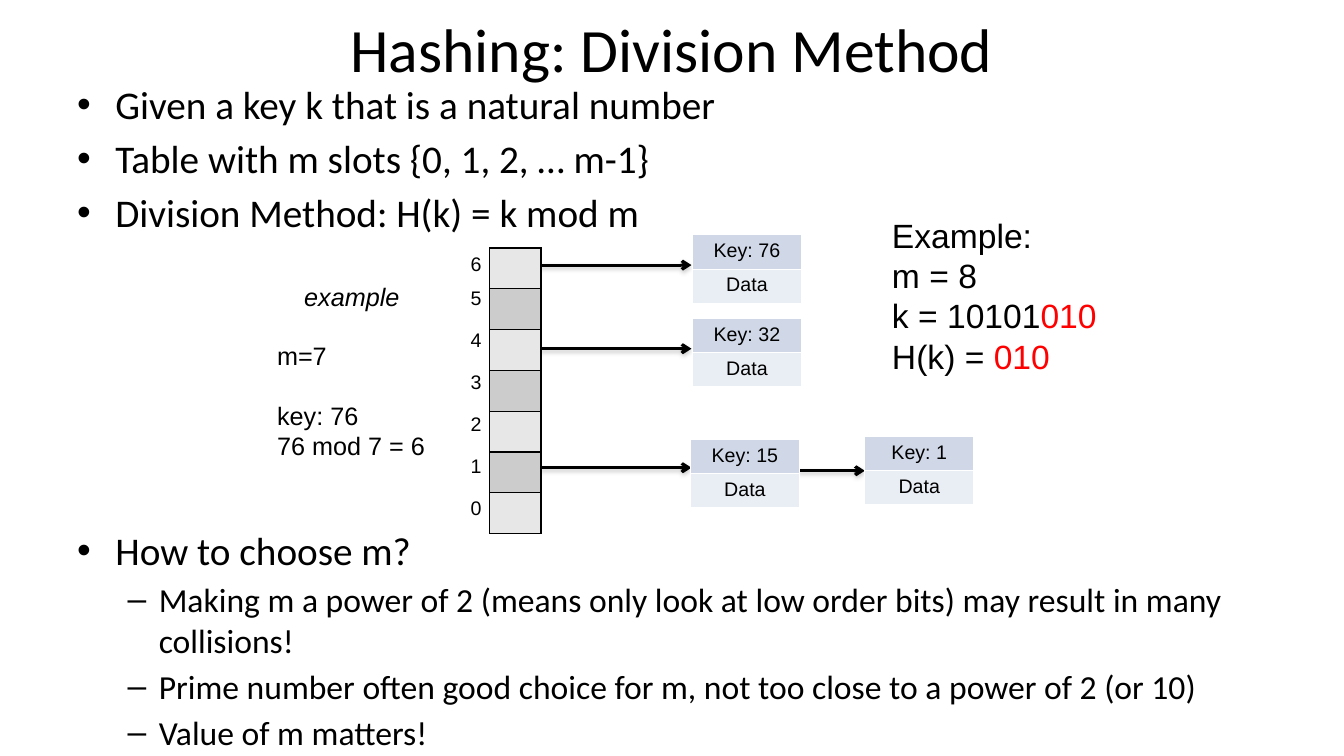
import lxml.etree
import pptx
import pptx.dml.color
import pptx.enum.shapes
import pptx.enum.text
import pptx.oxml
import pptx.oxml.ns
import pptx.util

RGBColor = pptx.dml.color.RGBColor
BLACK = RGBColor(0x00, 0x00, 0x00)
WHITE = RGBColor(0xFF, 0xFF, 0xFF)
RED = RGBColor(0xFF, 0x00, 0x00)
KEY_BLUE = RGBColor(0xD0, 0xD8, 0xE8)
DATA_BLUE = RGBColor(0xE9, 0xED, 0xF4)
LIGHT_GREY = RGBColor(0xE7, 0xE7, 0xE7)
DARK_GREY = RGBColor(0xCC, 0xCC, 0xCC)
SHADOW_GREY = RGBColor(0x80, 0x80, 0x80)

LEFT = pptx.enum.text.PP_ALIGN.LEFT
CENTER = pptx.enum.text.PP_ALIGN.CENTER
MIDDLE = pptx.enum.text.MSO_ANCHOR.MIDDLE
NAMESPACE = pptx.oxml.ns.nsdecls("a")
BULLETS = {28: ("•", 0.38, 0.38), 24: ("–", 0.81, 0.31)}

presentation = pptx.Presentation()
presentation.slide_width = pptx.util.Inches(13.33)
presentation.slide_height = pptx.util.Inches(7.5)
COLUMN = presentation.slide_width / 100
ROW = presentation.slide_height / 100
slide = presentation.slides.add_slide(presentation.slide_layouts[6])


def add_text(column, row, columns, rows, paragraphs, font="Arial", wrap=False):
    shape = slide.shapes.add_textbox(
        int(column * COLUMN), int(row * ROW), int(columns * COLUMN), int(rows * ROW))
    frame = shape.text_frame
    frame.word_wrap = wrap
    for index, (runs, size, alignment, space) in enumerate(paragraphs):
        paragraph = frame.paragraphs[0] if index == 0 else frame.add_paragraph()
        paragraph.alignment = alignment
        paragraph.space_before = pptx.util.Pt(space)
        for text, color in runs:
            run = paragraph.add_run()
            run.text = text
            run.font.name = font
            run.font.size = pptx.util.Pt(size)
            run.font.color.rgb = color
    return frame


def add_stack(column, row, columns, row_height, cells, border):
    shape = slide.shapes.add_table(
        len(cells), 1, int(column * COLUMN), int(row * ROW),
        int(columns * COLUMN), int(len(cells) * row_height * ROW))
    table = shape.table
    table.first_row = False
    table.horz_banding = False
    for index, (text, fill) in enumerate(cells):
        table.rows[index].height = int(row_height * ROW)
        cell = table.cell(index, 0)
        cell.fill.solid()
        cell.fill.fore_color.rgb = fill
        properties = cell._tc.get_or_add_tcPr()
        for position, side in enumerate(("lnL", "lnR", "lnT", "lnB")):
            properties.insert(position, pptx.oxml.parse_xml(
                f'<a:{side} {NAMESPACE} w="12700"><a:solidFill>'
                f'<a:srgbClr val="{border}"/></a:solidFill></a:{side}>'))
        if text:
            paragraph = cell.text_frame.paragraphs[0]
            paragraph.alignment = CENTER
            run = paragraph.add_run()
            run.text = text
            run.font.name = "Arial"
            run.font.size = pptx.util.Pt(14)
            run.font.color.rgb = BLACK


title = add_text(16.25, 0, 67.5, 12.8,
                 [([("Hashing: Division Method", BLACK)], 44, CENTER, 0)], "Calibri", True)
title.vertical_anchor = MIDDLE

bullet_blocks = [
    (10, 90, 23.33, [
        ("Given a key k that is a natural number", 28),
        ("Table with m slots {0, 1, 2, … m-1}", 28),
        ("Division Method: H(k) = k mod m", 28)]),
    (68.93, 95, 31.07, [
        ("How to choose m?", 28),
        ("Making m a power of 2 (means only look at low order bits) may result in many collisions!", 24),
        ("Prime number often good choice for m, not too close to a power of 2 (or 10)", 24),
        ("Value of m matters!", 24)]),
]
for row, columns, rows, items in bullet_blocks:
    frame = add_text(5, row, columns, rows,
                     [([(text, BLACK)], size, LEFT, size * 0.18) for text, size in items],
                     "Calibri", True)
    for paragraph, (text, size) in zip(frame.paragraphs, items):
        character, margin, hanging = BULLETS[size]
        properties = paragraph._p.get_or_add_pPr()
        properties.set("marL", str(pptx.util.Inches(margin)))
        properties.set("indent", str(-pptx.util.Inches(hanging)))
        properties.append(pptx.oxml.parse_xml(f'<a:buFont {NAMESPACE} typeface="Arial"/>'))
        properties.append(pptx.oxml.parse_xml(f'<a:buChar {NAMESPACE} char="{character}"/>'))

arrows = [(40.2, 51.45, 61.87), (59.4, 64.35, 62.27), (40.2, 51.45, 46.13), (40.2, 51.45, 35.07)]
for start, end, row in arrows:
    arrow = slide.shapes.add_connector(
        pptx.enum.shapes.MSO_CONNECTOR.STRAIGHT,
        int(start * COLUMN), int(row * ROW), int(end * COLUMN), int(row * ROW))
    arrow.line.color.rgb = BLACK
    arrow.line.width = pptx.util.Pt(2.25)
    lxml.etree.SubElement(arrow.line._get_or_add_ln(), pptx.oxml.ns.qn("a:tailEnd"), type="arrow")
    arrow._element.spPr.append(pptx.oxml.parse_xml(
        f'<a:effectLst {NAMESPACE}><a:outerShdw blurRad="39370" dist="20320" dir="5400000" '
        f'rotWithShape="0"><a:srgbClr val="{SHADOW_GREY}"><a:alpha val="38000"/></a:srgbClr>'
        '</a:outerShdw></a:effectLst>'))

entries = [(51.53, 31.07, 76), (51.53, 42.13, 32), (51.38, 58.13, 15), (64.35, 57.73, 1)]
for column, row, key in entries:
    add_stack(column, row, 8.1, 4.53, [(f"Key: {key}", KEY_BLUE), ("Data", DATA_BLUE)], WHITE)

slots = [("", DARK_GREY if slot % 2 else LIGHT_GREY) for slot in range(7)]
add_stack(36.45, 32.8, 3.8, 5.4, slots, BLACK)
for slot in range(7):
    label_row = 32.67 if slot == 6 else 64.93 - 5.55 * slot
    add_text(34.28, label_row, 2.33, 4.53, [([(str(slot), BLACK)], 14, LEFT, 0)])

example = add_text(19.88, 36.53, 12.6, 25.6, [
    ([("example", BLACK)], 18, CENTER, 0),
    ([("m=7", BLACK)], 18, LEFT, 21),
    ([("key: 76", BLACK)], 18, LEFT, 21),
    ([("76 mod 7 = 6", BLACK)], 18, LEFT, 0)])
example.paragraphs[0].runs[0].font.italic = True

add_text(65.63, 27.73, 16.88, 22.93, [
    ([("Example:", BLACK)], 24, LEFT, 0),
    ([("m = 8", BLACK)], 24, LEFT, 0),
    ([("k = 10101", BLACK), ("010", RED)], 24, LEFT, 0),
    ([("H(k) = ", BLACK), ("010", RED)], 24, LEFT, 0)])

presentation.save("out.pptx")
